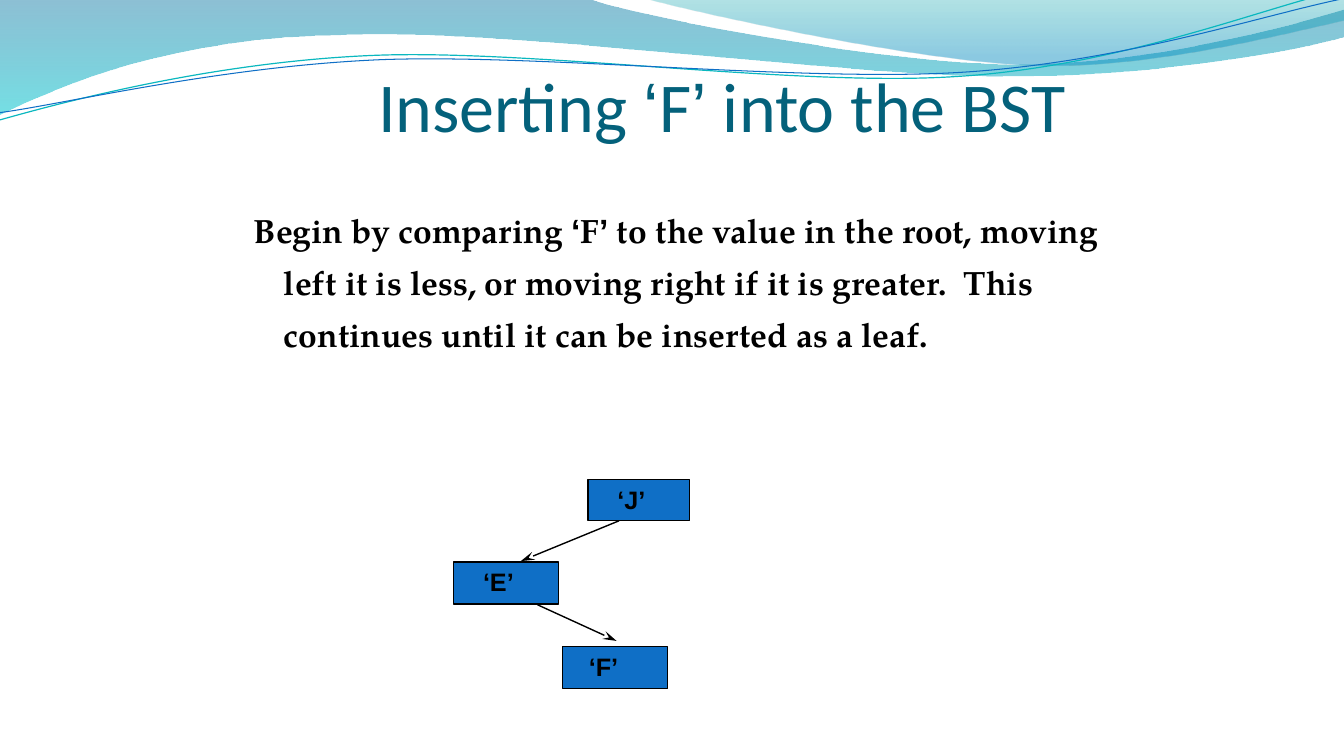
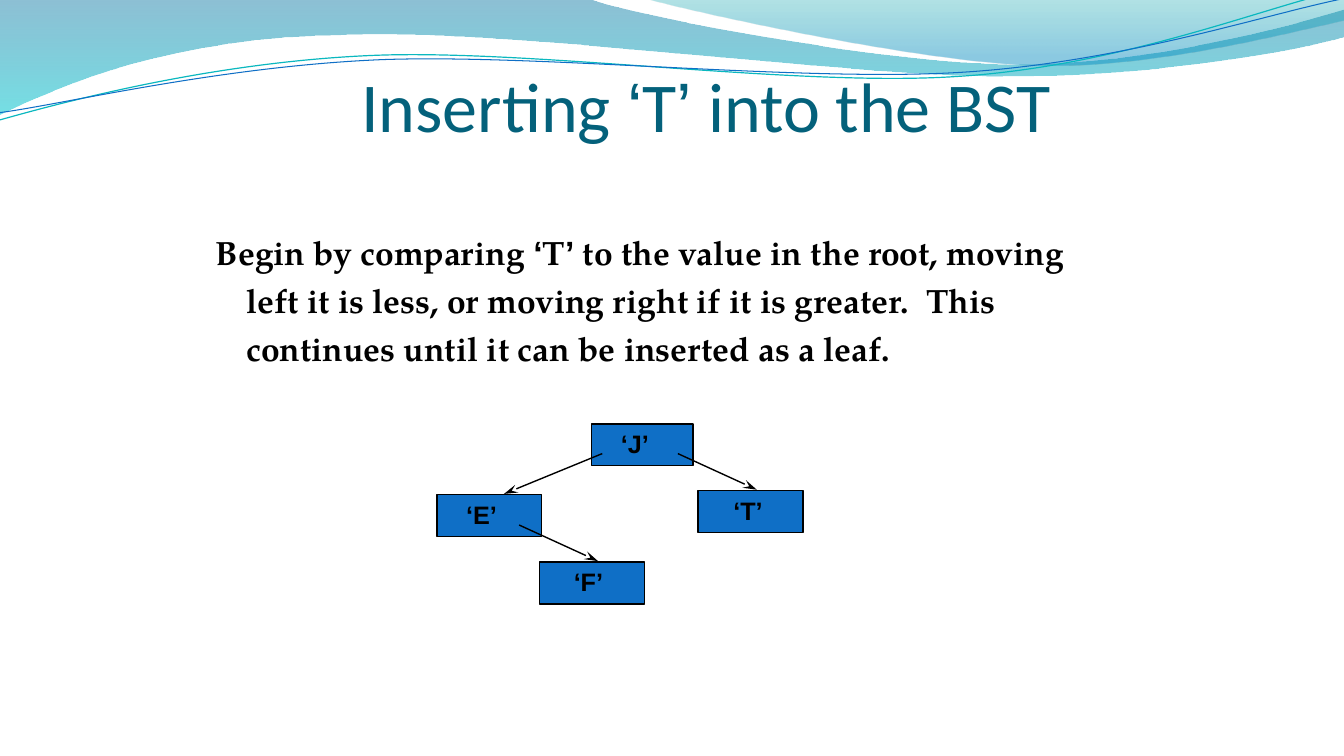
import pptx
import pptx.util
import pptx.dml.color
import pptx.enum.text
import pptx.enum.shapes
import pptx.oxml.ns

HUES = {
    "ink": "000000", "title": "04617B", "node": "0F6FC6", "teal": "0AB8BF",
    "deep": "0074A1", "aqua": "00C6CF", "sea": "00A1A9", "sky": "008BBF",
}
COLS, ROWS = 16, 9
MARK = "Arial"
TITLE = {"name": "Calibri", "size": pptx.util.Pt(50), "bold": False}
BODY = {"name": "TeX Gyre Pagella", "size": pptx.util.Pt(24), "bold": True}
LABEL = {"name": MARK, "size": pptx.util.Pt(18), "bold": True}
ANCHOR = pptx.enum.text.MSO_ANCHOR
LEFT = pptx.enum.text.PP_ALIGN.LEFT
FIXED = pptx.enum.text.MSO_AUTO_SIZE.NONE

WAVES = [
    {"start": (0, 0), "close": True,
     "fade": [("deep", 0, 45), ("aqua", 1, 55)],
     "legs": [(7.04, -0.01),
              (7.61, 0.2, 10.62, 0.76, 12.13, 0.76),
              (13.66, 0.76, 15.34, 0.31, 16, 0.11),
              (16.02, 0.43),
              (15.73, 0.53, 13.92, 0.91, 11.93, 0.9),
              (9.95, 0.9, 6.11, 0.34, 4.12, 0.41),
              (2.06, 0.43, 0.73, 1, -0.01, 1.36),
              (0, 0)]},
    {"start": (7.67, -0.01), "close": True,
     "fade": [("sea", 0, 30), ("sky", 0.8, 45)],
     "legs": [(8.15, 0.13, 10.91, 0.74, 12.3, 0.78),
              (13.69, 0.83, 15.38, 0.38, 16, 0.25),
              (16, 0),
              (7.67, -0.01)]},
    {"start": (-0.01, 1.43), "close": False, "line": ("teal", 0.85),
     "legs": [(0.77, 1.21, 2.53, 0.74, 4.43, 0.66),
              (6.32, 0.58, 9.48, 1.04, 11.4, 0.91),
              (13.32, 0.79, 15.02, 0.1, 15.97, -0.12)]},
    {"start": (0, 1.34), "close": False, "line": ("node", 0.75),
     "legs": [(0.76, 1.24, 2.62, 0.79, 4.54, 0.71),
              (6.44, 0.64, 9.55, 0.98, 11.46, 0.86),
              (13.38, 0.74, 15.06, 0.17, 16.01, -0.02)]},
]

BIG, ROOT = (1.25, 0.5), (1.21, 0.49)
TO_LEFT, TO_RIGHT = (1.17, -0.48), (-0.94, -0.43)
PAGES = [
    {"key": "F", "title": (4.5, 0.45, 8.93, 1.3),
     "body": (2.9, 2.29, 10.7, 2), "pitch": 1.3,
     "nodes": [("J", (7, 5.71), ROOT, 0.35), ("E", (5.4, 6.69), BIG, 0.35),
               ("F", (6.7, 7.7), BIG, 0.31)],
     "links": [((6.2, 6.68), TO_LEFT), ((7.34, 7.63), TO_RIGHT)]},
    {"key": "T", "title": (4.3, 0.45, 9.12, 1.3),
     "body": (2.45, 2.6, 10.66, 1.82), "pitch": 1.2,
     "nodes": [("J", (7.04, 5.05), ROOT, 0.35), ("E", (5.2, 5.89), BIG, 0.35),
               ("F", (6.42, 6.69), BIG, 0.41), ("T", (8.31, 5.84), BIG, 0.42)],
     "links": [((6, 5.88), TO_LEFT), ((7.12, 6.68), TO_RIGHT),
               ((9.01, 5.83), TO_RIGHT)]},
]


def apply(item, values):
    for name, value in values.items():
        setattr(item, name, value)


def hue(name):
    return pptx.dml.color.RGBColor.from_string(HUES[name])


def add_tag(parent, tag, **values):
    node = parent.makeelement(pptx.oxml.ns.qn(tag), values)
    parent.append(node)
    return node


def bend(shape, legs):
    lines = iter(shape.element.xpath(".//a:lnTo"))
    for leg in legs:
        first = next(lines)
        if len(leg) == 6:
            first.tag = pptx.oxml.ns.qn("a:cubicBezTo")
            for _ in range(2):
                extra = next(lines)
                first.append(extra[0])
                extra.getparent().remove(extra)


class Deck:
    """Hold the shared style and the current slide of the deck."""

    def __init__(self):
        self.show = pptx.Presentation()
        apply(self.show, {"slide_width": pptx.util.Inches(13.33),
                          "slide_height": pptx.util.Inches(7.5)})
        self.page = None

    def x(self, cols):
        return round(self.show.slide_width * cols / COLS)

    def y(self, rows):
        return round(self.show.slide_height * rows / ROWS)

    def spot(self, point):
        return self.x(point[0]), self.y(point[1])

    def next(self):
        self.page = self.show.slides.add_slide(self.show.slide_layouts[1])

    def stroke(self, line, name, width):
        line.color.rgb = hue(name)
        line.width = pptx.util.Pt(width)

    def wave(self, number, start, legs, close, fade=None, line=None):
        pen = self.page.shapes.build_freeform(*self.spot(start))
        points = [leg[i:i + 2] for leg in legs for i in range(0, len(leg), 2)]
        pen.add_line_segments([self.spot(p) for p in points], close=close)
        shape = pen.convert_to_shape()
        bend(shape, legs)
        shape.shadow.inherit = False
        if fade:
            shape.fill.gradient()
            shape.fill.gradient_angle = 270
            for stop, (name, place, alpha) in zip(shape.fill.gradient_stops, fade):
                stop.color.rgb = hue(name)
                stop.position = place
            for tone, part in zip(shape.element.xpath(".//a:gs/a:srgbClr"), fade):
                add_tag(tone, "a:alpha", val=str(part[2] * 1000))
            shape.line.fill.background()
        else:
            shape.fill.background()
            self.stroke(shape.line, *line)
        shape.element.xpath("./p:nvSpPr/p:cNvPr")[0].set("id", str(100 + number))
        first = self.show.slide_master.placeholders[0]
        first.element.addprevious(shape.element)

    def place(self, holder, box):
        left, top = self.spot(box[:2])
        width, height = self.spot(box[2:])
        apply(holder, {"left": left, "top": top, "width": width, "height": height})

    def quote(self, para, before, key, after, style, tone):
        parts = [(before, style["name"]), ("‘", MARK), (key, style["name"]),
                 ("’", MARK), (after, style["name"])]
        for text, face in parts:
            run = para.add_run()
            run.text = text
            apply(run.font, {**style, "name": face})
            run.font.color.rgb = hue(tone)

    def title(self, key, box):
        holder = self.page.shapes.title
        self.place(holder, box)
        frame = holder.text_frame
        apply(frame, {"margin_left": 0, "margin_right": 0, "margin_bottom": 0,
                      "margin_top": pptx.util.Inches(0.05), "word_wrap": True,
                      "vertical_anchor": ANCHOR.BOTTOM, "auto_size": FIXED})
        para = frame.paragraphs[0]
        para.alignment = LEFT
        self.quote(para, "Inserting ", key, " into the BST", TITLE, "title")

    def body(self, key, box, pitch):
        holder = self.page.placeholders[1]
        self.place(holder, box)
        frame = holder.text_frame
        apply(frame, {"word_wrap": True, "vertical_anchor": ANCHOR.TOP,
                      "auto_size": FIXED})
        para = frame.paragraphs[0]
        apply(para, {"alignment": LEFT, "line_spacing": pitch,
                     "space_before": pptx.util.Pt(0)})
        props = holder.element.xpath(".//a:pPr")[0]
        indent = pptx.util.Inches(0.3)
        for name, value in {"marL": indent, "indent": -indent}.items():
            props.set(name, str(int(value)))
        add_tag(props, "a:buNone")
        self.quote(para, "Begin by comparing ", key,
                   " to the value in the root, moving left it is less, or moving "
                   "right if it is greater.  This continues until it can be "
                   "inserted as a leaf.", BODY, "ink")

    def node(self, key, point, size, inset):
        shape = self.page.shapes.add_shape(
            pptx.enum.shapes.MSO_SHAPE.RECTANGLE,
            *self.spot(point), *self.spot(size))
        shape.shadow.inherit = False
        shape.fill.solid()
        shape.fill.fore_color.rgb = hue("node")
        self.stroke(shape.line, "ink", 1)
        frame = shape.text_frame
        apply(frame, {"margin_left": self.x(inset), "margin_right": 0,
                      "margin_top": 0, "margin_bottom": self.y(0.03),
                      "word_wrap": True, "vertical_anchor": ANCHOR.MIDDLE})
        para = frame.paragraphs[0]
        para.alignment = LEFT
        run = para.add_run()
        run.text = f"‘{key}’"
        apply(run.font, LABEL)
        run.font.color.rgb = hue("ink")

    def link(self, tip, reach):
        tail = (tip[0] + reach[0], tip[1] + reach[1])
        line = self.page.shapes.add_connector(
            pptx.enum.shapes.MSO_CONNECTOR.STRAIGHT,
            *self.spot(tip), *self.spot(tail))
        self.stroke(line.line, "ink", 1)
        stroke = line.element.xpath("./p:spPr/a:ln")[0]
        add_tag(stroke, "a:headEnd", type="stealth", w="med", len="lg")
        add_tag(line.element.spPr, "a:effectLst")


def main():
    deck = Deck()
    for page in PAGES:
        deck.next()
        if page is PAGES[0]:
            for number, wave in enumerate(WAVES):
                deck.wave(number, **wave)
        deck.body(page["key"], page["body"], page["pitch"])
        deck.title(page["key"], page["title"])
        for node in page["nodes"]:
            deck.node(*node)
        for link in page["links"]:
            deck.link(*link)
    deck.show.save("out.pptx")


if __name__ == "__main__":
    main()
